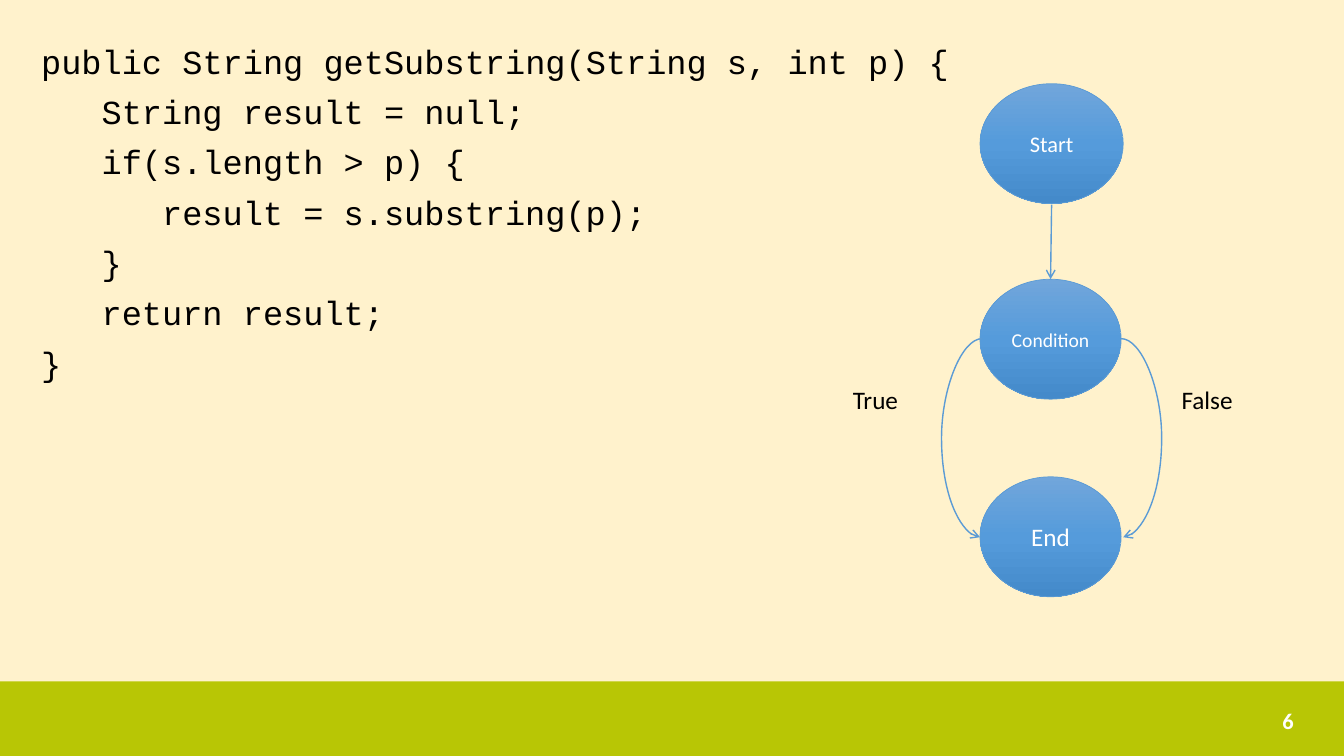
from copy import deepcopy

from pptx import Presentation
from pptx import util as u
from pptx.dml.color import RGBColor
from pptx.enum import shapes, text
from pptx.oxml import ns
from lxml import etree

COLORS = {
    "background": "FFF2CC", "footer": "B8C605", "line": "5B9BD5",
    "top": "71A6DB", "middle": "559BDB", "bottom": "448ACA",
    "black": "000000", "white": "FFFFFF",
}
RGB = {name: RGBColor.from_string(value) for name, value in COLORS.items()}


def write(frame, lines, size, color, font="Calibri", align=text.PP_ALIGN.LEFT):
    """Fill a text frame with one styled paragraph per line."""
    frame.word_wrap = True
    frame.text = "\n".join(lines)
    for paragraph in frame.paragraphs:
        paragraph.alignment = align
        paragraph.font.name = font
        paragraph.font.size = u.Pt(size)
        paragraph.font.color.rgb = RGB[color]


def add_arrow(slide, kind, start, end):
    """Draw a flow arrow and return its connector."""
    arrow = slide.shapes.add_connector(kind, *map(u.Inches, start + end))
    arrow.line.color.rgb = RGB["line"]
    arrow.line.width = u.Pt(1)
    outline = arrow.line._get_or_add_ln()
    etree.SubElement(outline, ns.qn("a:tailEnd"), type="arrow")
    etree.SubElement(arrow._element.spPr, ns.qn("a:effectLst"))
    return arrow


prs = Presentation()
prs.slide_width, prs.slide_height = u.Inches(13.33), u.Inches(7.5)
slide = prs.slides.add_slide(prs.slide_layouts[6])
slide.background.fill.solid()
slide.background.fill.fore_color.rgb = RGB["background"]

# Footer band and page number
footer = slide.shapes.add_shape(
    shapes.MSO_SHAPE.RECTANGLE, 0, u.Inches(6.76), prs.slide_width, u.Inches(0.74))
footer.shadow.inherit = False
footer.fill.solid()
footer.fill.fore_color.rgb = RGB["footer"]
footer.line.fill.background()

page_number = slide.shapes.add_textbox(*map(u.Inches, (9.42, 6.95, 3.51, 0.4))).text_frame
write(page_number, ["6"], 16, "white", align=text.PP_ALIGN.RIGHT)
page_number.vertical_anchor = text.MSO_ANCHOR.MIDDLE
page_number.paragraphs[0].font.bold = True

# Java method: nesting depth and code of each line
CODE = [
    (0, "public String getSubstring(String s, int p) {"),
    (1, "String result = null;"),
    (1, "if(s.length > p) {"),
    (2, "result = s.substring(p);"),
    (1, "}"),
    (1, "return result;"),
    (0, "}"),
]
code = slide.shapes.add_textbox(*map(u.Inches, (0.31, 0.4, 9.96, 5.58))).text_frame
write(code, [line for _, line in CODE], 24, "black", font="Courier New")
for paragraph, (depth, _) in zip(code.paragraphs, CODE):
    paragraph.line_spacing = 0.9
    paragraph.space_before = u.Pt(10)
    properties = paragraph._p.get_or_add_pPr()
    properties.set("marL", str(u.Inches(0.6 * depth)))
    properties.set("indent", "0")

# Flow chart nodes
NODE_LEFT, NODE_HEIGHT = 9.72, 1.19
GRADIENT = [(0, "top"), (0.5, "middle"), (1, "bottom")]
for label, top, width, size in [
    ("Start", 0.83, 1.42, 16), ("Condition", 2.77, 1.4, 14), ("End", 4.73, 1.4, 18),
]:
    node = slide.shapes.add_shape(
        shapes.MSO_SHAPE.OVAL, *map(u.Inches, (NODE_LEFT, top, width, NODE_HEIGHT)))
    node.shadow.inherit = False
    node.fill.gradient()
    node.fill.gradient_angle = 270
    stop_list = node._element.spPr.find(".//" + ns.qn("a:gsLst"))
    stop_list.append(deepcopy(stop_list[-1]))
    for stop, (position, color) in zip(node.fill.gradient_stops, GRADIENT):
        stop.position = position
        stop.color.rgb = RGB[color]
    node.line.color.rgb = RGB["line"]
    node.line.width = u.Pt(0.5)
    write(node.text_frame, [label], size, "white", align=text.PP_ALIGN.CENTER)
    node.text_frame.vertical_anchor = text.MSO_ANCHOR.MIDDLE

# Flow arrows: the branches bulge sideways, in proportion to their tiny width
add_arrow(slide, shapes.MSO_CONNECTOR.STRAIGHT, (10.43, 2.03), (10.42, 2.77))
BRANCH_WIDTH, BULGE = 0.02, 0.4
for start_x, direction in [(9.74, -1), (11.12, 1)]:
    branch = add_arrow(slide, shapes.MSO_CONNECTOR.CURVE, (start_x, 3.36),
                       (start_x + direction * BRANCH_WIDTH, 5.33))
    adjustments = branch._element.spPr.find(".//" + ns.qn("a:avLst"))
    etree.SubElement(adjustments, ns.qn("a:gd"), name="adj1",
                     fmla=f"val {round(BULGE / BRANCH_WIDTH * 100000)}")

for answer, left, width in [("True", 8.36, 1.07), ("False", 11.62, 1.15)]:
    branch_label = slide.shapes.add_textbox(*map(u.Inches, (left, 3.76, width, 0.55)))
    write(branch_label.text_frame, [answer], 18, "black")

prs.save("out.pptx")
